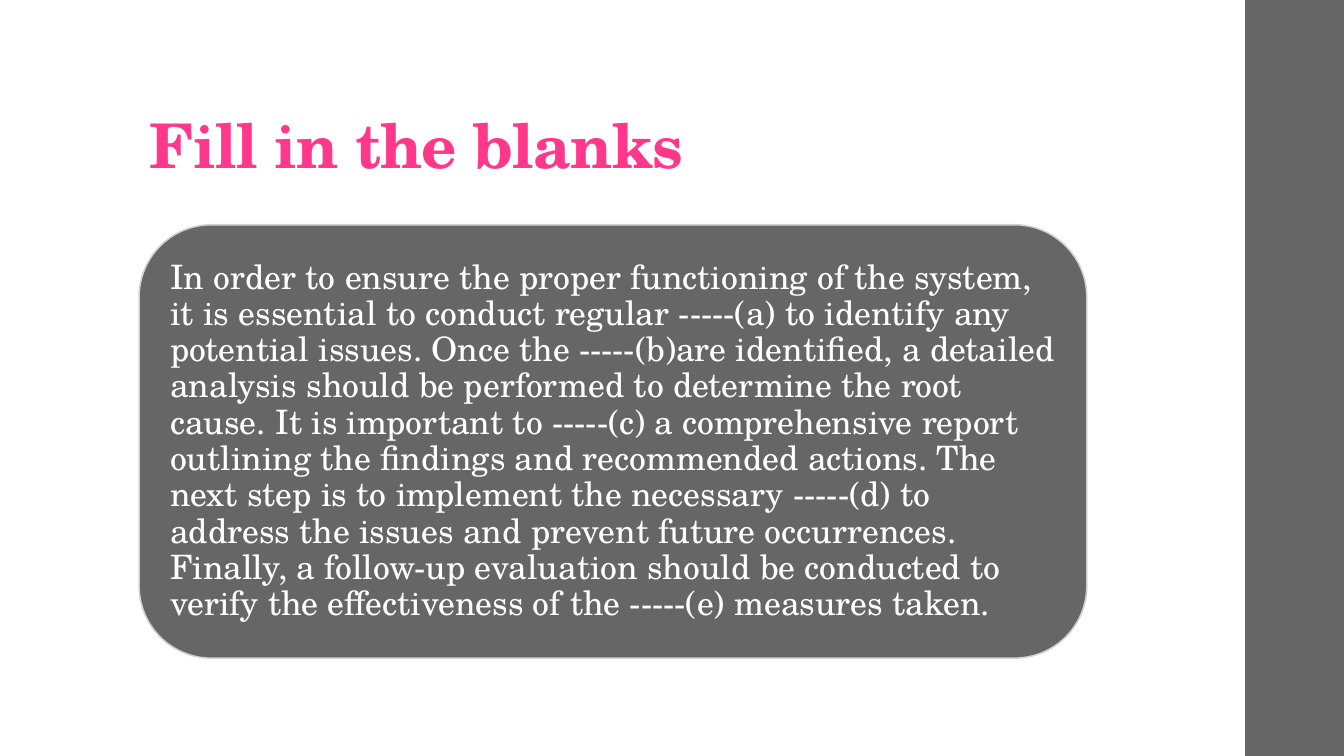
from dataclasses import dataclass

from pptx import Presentation
from pptx.dml.color import RGBColor
from pptx.enum.shapes import MSO_SHAPE as Shape
from pptx.enum.text import MSO_ANCHOR as Anchor, PP_ALIGN as Align
from pptx.util import Inches, Pt


@dataclass(frozen=True)
class Theme:
    """Colours, font and type sizes of the slide."""
    font: str = "TeX Gyre Schola"
    pink: RGBColor = RGBColor(0xFF, 0x38, 0x8C)
    grey: RGBColor = RGBColor(0x66, 0x66, 0x66)
    outline: RGBColor = RGBColor(0xD2, 0xD2, 0xD2)
    white: RGBColor = RGBColor(0xFF, 0xFF, 0xFF)
    title_size: Pt = Pt(44)
    body_size: Pt = Pt(24)


THEME = Theme()
TITLE = "Fill in the blanks"
PASSAGE = (
    "In order to ensure the proper functioning of the system, it is essential to "
    "conduct regular -----(a) to identify any potential issues. Once the -----(b)are "
    "identified, a detailed analysis should be performed to determine the root cause. "
    "It is important to -----(c) a comprehensive report outlining the findings and "
    "recommended actions. The next step is to implement the necessary -----(d) to "
    "address the issues and prevent future occurrences. Finally, a follow-up evaluation "
    "should be conducted to verify the effectiveness of the -----(e) measures taken."
)


def set_attributes(target, values):
    """Set each named attribute of the target."""
    for name, value in values.items():
        setattr(target, name, value)


def write_text(shape, text, size, color, bold, frame_format):
    """Write one left-aligned paragraph in the shape and return its run."""
    frame = shape.text_frame
    set_attributes(frame, {"word_wrap": True, **frame_format})
    paragraph = frame.paragraphs[0]
    set_attributes(paragraph, {"alignment": Align.LEFT, "line_spacing": 0.9,
                               "space_before": Pt(0)})
    run = paragraph.add_run()
    run.text = text
    set_attributes(run.font, {"name": THEME.font, "size": size, "bold": bold})
    run.font.color.rgb = color
    return run


def add_panel(slide, kind, box):
    """Add a plain grey shape without outline or shadow."""
    panel = slide.shapes.add_shape(kind, *map(Inches, box))
    panel.shadow.inherit = False
    panel.fill.solid()
    panel.fill.fore_color.rgb = THEME.grey
    panel.line.fill.background()
    return panel


def add_title(slide, box):
    """Place the title placeholder and write the heading."""
    title = slide.shapes.title
    places = ("left", "top", "width", "height")
    set_attributes(title, dict(zip(places, map(Inches, box))))
    run = write_text(title, TITLE, THEME.title_size, THEME.pink, True, {
        "vertical_anchor": Anchor.BOTTOM,
        "margin_left": Inches(0.1), "margin_right": Inches(0.1),
        "margin_top": Inches(0.03), "margin_bottom": Inches(0.05)})
    run.font._element.set("spc", "-50")


def add_passage(slide, box):
    """Add the rounded card that holds the passage."""
    card = add_panel(slide, Shape.ROUNDED_RECTANGLE, box)
    card.line.color.rgb = THEME.outline
    card.line.width = Pt(1.1)
    margins = {f"margin_{side}": Inches(0.1)
               for side in ("left", "right", "top", "bottom")}
    write_text(card, PASSAGE, THEME.body_size, THEME.white, False,
               {"vertical_anchor": Anchor.MIDDLE, **margins})


def main():
    """Build the slide and save the presentation."""
    presentation = Presentation()
    presentation.slide_width = Inches(13.33)
    presentation.slide_height = Inches(7.5)
    slide = presentation.slides.add_slide(presentation.slide_layouts[5])
    add_panel(slide, Shape.RECTANGLE, (12.35, 0, 0.98, 7.5))
    add_title(slide, (1.38, 0.29, 10.6, 1.56))
    add_passage(slide, (1.38, 2.23, 9.4, 4.3))
    presentation.save("out.pptx")


if __name__ == "__main__":
    main()
